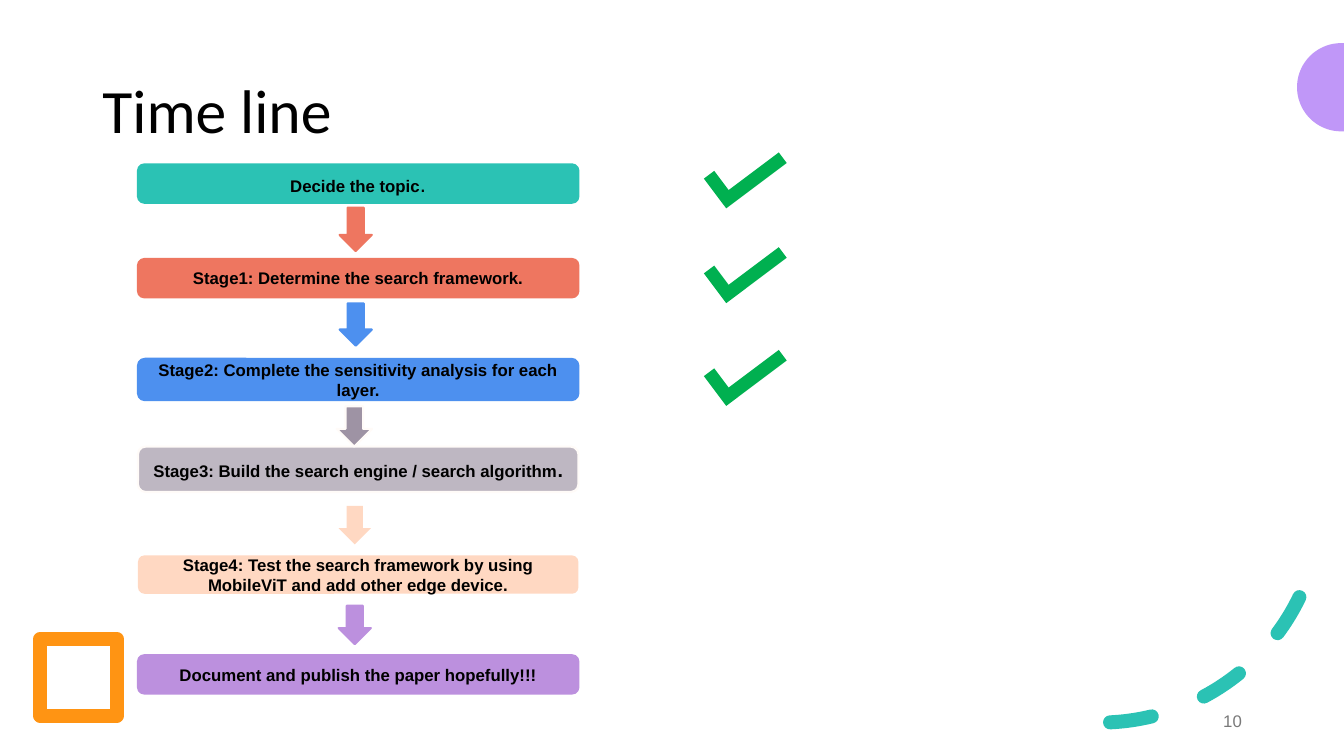
from dataclasses import dataclass
from math import cos, pi, sin

from lxml.etree import SubElement
from pptx import Presentation
from pptx.dml.color import RGBColor
from pptx.enum.dml import MSO_LINE
from pptx.enum.shapes import MSO_SHAPE
from pptx.enum.text import MSO_ANCHOR, PP_ALIGN
from pptx.oxml.ns import qn
from pptx.util import Pt


@dataclass(frozen=True)
class Theme:
    teal: str = "2BC2B4"
    coral: str = "EE7660"
    blue: str = "4D90EF"
    gray: str = "BEB7C2"
    dusk: str = "9E93A4"
    cream: str = "FFFBF8"
    peach: str = "FFD8C2"
    plum: str = "BC90DE"
    lilac: str = "C097F8"
    orange: str = "FF9413"
    green: str = "00B050"
    black: str = "000000"
    muted: str = "797979"
    head: str = "Calibri"
    body: str = "Arial"
    title: int = 44
    text: int = 12
    edge: float = 1.5
    thick: int = 10


class Painter:
    def __init__(self, slide, theme):
        self.slide = slide
        self.theme = theme

    def paint(self, shape, fill=None, line=None, width=None):
        shape.shadow.inherit = False
        if fill:
            shape.fill.solid()
            shape.fill.fore_color.rgb = RGBColor.from_string(fill)
        else:
            shape.fill.background()
        if line:
            shape.line.color.rgb = RGBColor.from_string(line)
            shape.line.width = Pt(width or self.theme.edge)
        else:
            shape.line.fill.background()
        return shape

    def shape(self, kind, box, fill=None, line=None, width=None):
        made = self.slide.shapes.add_shape(kind, *map(Pt, box))
        return self.paint(made, fill, line, width)

    def style(self, par, size, color, face, align, bold=False):
        par.alignment = align
        font = par.font
        font.name, font.size, font.bold = face, Pt(size), bold
        font.color.rgb = RGBColor.from_string(color)

    def title(self, text, box):
        t = self.theme
        holder = self.slide.shapes.title
        holder.left, holder.top, holder.width, holder.height = map(Pt, box)
        frame = holder.text_frame
        frame.text = text
        frame.vertical_anchor = MSO_ANCHOR.MIDDLE
        par = frame.paragraphs[0]
        par.line_spacing = 0.9
        self.style(par, t.title, t.black, t.head, PP_ALIGN.LEFT)

    def number(self, text, box):
        t = self.theme
        frame = self.slide.shapes.add_textbox(*map(Pt, box)).text_frame
        frame.word_wrap = True
        frame.vertical_anchor = MSO_ANCHOR.MIDDLE
        frame.text = text
        self.style(frame.paragraphs[0], t.text, t.muted, t.body, PP_ALIGN.RIGHT)

    def stage(self, text, box, fill, line, dot=None):
        """Draw a stage box; dot is the size and weight of a closing full stop."""
        t = self.theme
        frame = self.shape(MSO_SHAPE.ROUNDED_RECTANGLE, box, fill, line).text_frame
        frame.word_wrap = True
        frame.vertical_anchor = MSO_ANCHOR.MIDDLE
        par = frame.paragraphs[0]
        par.add_run().text = text
        self.style(par, t.text, t.black, t.body, PP_ALIGN.CENTER, True)
        if dot:
            stop = par.add_run()
            stop.text = "."
            stop.font.size, stop.font.bold = Pt(dot[0]), dot[1]

    def arrow(self, box, fill, line):
        self.shape(MSO_SHAPE.DOWN_ARROW, box, fill, line)

    def check(self, top):
        mark = self.shape(MSO_SHAPE.CORNER, (505.4, top, 54, 26.6), self.theme.green)
        mark.adjustments[0], mark.adjustments[1] = 0.355, 0.348
        mark.rotation = 323.1

    def frame(self, box):
        t = self.theme
        made = self.shape(MSO_SHAPE.RECTANGLE, box, None, t.orange, t.thick)
        SubElement(made.line._get_or_add_ln(), qn("a:round"))

    def arc(self, box):
        t = self.theme
        made = self.shape(MSO_SHAPE.ARC, box, None, t.teal, t.thick)
        made.adjustments[0], made.adjustments[1] = 162, 200.931
        made.rotation = 357.3
        made._element.spPr.find(qn("a:xfrm")).set("flipV", "1")
        made.line.dash_style = MSO_LINE.DASH
        line = made.line._get_or_add_ln()
        line.set("cap", "rnd")
        SubElement(line, qn("a:round"))

    def dome(self, x, y, radius, right, steps=60):
        """Draw a half disc that is open to the right, out to the slide edge."""
        turns = [pi / 2 + pi * i / steps for i in range(steps + 1)]
        dots = [(x + radius * cos(a), y - radius * sin(a)) for a in turns]
        dots += [(right, y + radius), (right, y - radius)]
        dots = [(Pt(a), Pt(b)) for a, b in dots]
        path = self.slide.shapes.build_freeform(*dots[0])
        path.add_line_segments(dots[1:], close=True)
        self.paint(path.convert_to_shape(), self.theme.lilac)


def main():
    deck = Presentation()
    deck.slide_width, deck.slide_height = Pt(960), Pt(540)
    t = Theme()
    pen = Painter(deck.slides.add_slide(deck.slide_layouts[5]), t)

    pen.frame((28.8, 456.5, 54.7, 54.7))
    pen.arc((627.1, 199.4, 316.8, 316.8))
    pen.dome(958, 62.3, 31.5, 960)
    pen.title("Time line", (66, 28.8, 828, 104.4))
    pen.number("10", (678.2, 500.4, 216, 28.8))

    stages = [
        ("Decide the topic", 117.4, 27.4, t.teal, t.teal, (16, False)),
        ("Stage1: Determine the search framework.", 185, 27.4, t.coral, t.coral, None),
        ("Stage2: Complete the sensitivity analysis for each layer.",
         256.3, 29.5, t.blue, t.blue, None),
        ("Stage3: Build the search engine / search algorithm",
         319, 32.4, t.gray, t.cream, (14, True)),
        ("Stage4: Test the search framework by using MobileViT and add other edge device.",
         396.7, 27.4, t.peach, None, None),
        ("Document and publish the paper hopefully!!!", 468, 27.4, t.plum, t.plum, None),
    ]
    for text, top, high, fill, line, dot in stages:
        pen.stage(text, (98.6, top, 314.6, high), fill, line, dot)

    arrows = [
        (242.6, 148.3, 23, 31, t.coral, t.coral),
        (242.6, 216.7, 23, 30.2, t.blue, t.blue),
        (240.5, 290.2, 25.2, 28.8, t.dusk, t.cream),
        (241.9, 361.4, 23, 27.4, t.peach, None),
        (241.9, 432.7, 23, 27.4, t.plum, t.plum),
    ]
    for *box, fill, line in arrows:
        pen.arrow(box, fill, line)

    for top in (108.7, 176.4, 249.8):
        pen.check(top)

    deck.save("out.pptx")


if __name__ == "__main__":
    main()
